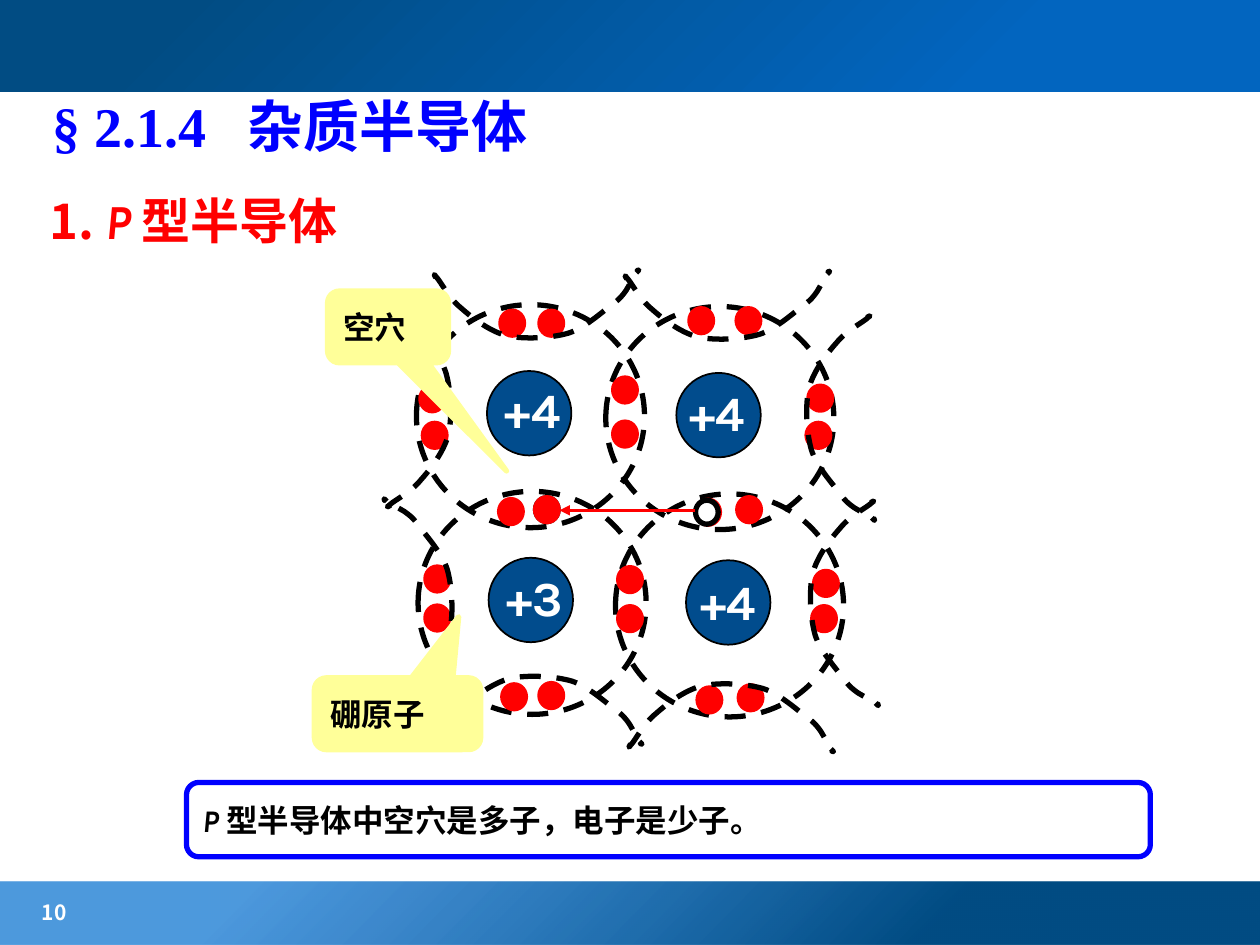
from lxml import etree
from pptx import Presentation
from pptx import util as u
from pptx.dml.color import RGBColor
from pptx.enum import dml, shapes, text
from pptx.oxml import ns

BLUE = RGBColor(0x00, 0x00, 0xFF)
RED = RGBColor(0xFF, 0x00, 0x00)
BLACK = RGBColor(0x00, 0x00, 0x00)
WHITE = RGBColor(0xFF, 0xFF, 0xFF)
YELLOW = RGBColor(0xFF, 0xFF, 0x99)
NUCLEUS = RGBColor(0x01, 0x4C, 0x8D)
NAVY = RGBColor(0x01, 0x4C, 0x83)
AZURE = RGBColor(0x02, 0x65, 0xBF)
SKY = RGBColor(0x02, 0x6D, 0xCE)
SANS, LATIN, SERIF = "Noto Sans CJK SC", "Karla", "Times New Roman"
KIND = shapes.MSO_SHAPE

deck = Presentation()
deck.slide_width, deck.slide_height = u.Inches(10), u.Inches(7.5)
page = deck.slides.add_slide(deck.slide_layouts[6])

# The page is a grid of 100 columns by 75 rows
COL = deck.slide_width // 100
ROW = deck.slide_height // 75


def add_box(kind, col, row, cols, rows, fill=None, line=None, weight=3):
    """Add a preset shape, or a text box when kind is None."""
    area = [round(n) for n in (col * COL, row * ROW, cols * COL, rows * ROW)]
    if kind is None:
        return page.shapes.add_textbox(*area)
    box = page.shapes.add_shape(kind, *area)
    box.shadow.inherit = False
    if fill is None:
        box.fill.background()
    else:
        box.fill.solid()
        box.fill.fore_color.rgb = fill
    if line is None:
        box.line.fill.background()
    else:
        box.line.color.rgb = line
        box.line.width = u.Pt(weight)
    return box


def write(box, size, color, runs, anchor=text.MSO_ANCHOR.MIDDLE):
    """Fill a box with one bold paragraph of (words, font, italic) runs."""
    box.text_frame.word_wrap = True
    box.text_frame.vertical_anchor = anchor
    para = box.text_frame.paragraphs[0]
    para.alignment = text.PP_ALIGN.LEFT
    for words, face, italic in runs:
        span = para.add_run()
        span.text = words
        span.font.name, span.font.size = face, u.Pt(size)
        span.font.bold, span.font.italic = True, italic
        span.font.color.rgb = color
        east = etree.SubElement(span.font._element, ns.qn("a:ea"))
        east.set("typeface", SANS)
    return para


# Footer and header bands, shaded from the bottom right corner
for row, rows, stops in (
    (70, 5, ((0.26, NAVY, None), (0.8, SKY, "70000"))),
    (-0.3, 7.6, ((0.21, AZURE, None), (0.86, NAVY, None))),
):
    band = add_box(KIND.RECTANGLE, 0, row, 100, rows)
    band.fill.gradient()
    for stop, (place, color, alpha) in zip(band.fill.gradient_stops, stops):
        stop.position = place
        stop.color.rgb = color
        if alpha:
            tint = stop._gs.find(ns.qn("a:srgbClr"))
            etree.SubElement(tint, ns.qn("a:alpha")).set("val", alpha)
    linear = band._element.spPr.find(".//" + ns.qn("a:lin"))
    circle = etree.Element(ns.qn("a:path"), path="circle")
    etree.SubElement(circle, ns.qn("a:fillToRect"), l="100000", t="100000")
    linear.getparent().replace(linear, circle)

# Page number, title and heading
write(add_box(None, 2.35, 70.85, 15.4, 3.1), 12, WHITE, [("10", SANS, False)])
title = add_box(None, 3.15, 3.9, 85, 12.1)
para = write(title, 32, BLUE, [("§ 2.1.4\t杂质半导体", SERIF, False)])
tabs = etree.SubElement(para._p.get_or_add_pPr(), ns.qn("a:tabLst"))
etree.SubElement(tabs, ns.qn("a:tab"), pos=str(round(15.53 * COL)), algn="l")
heading = add_box(None, 2.93, 14.63, 32.2, 5.7)
write(heading, 28, RED, [
    ("1. ", SANS, False), ("P ", LATIN, True), ("型半导体", SANS, False)])

# Atoms: nucleus corner, label corner, charge
atoms = (
    (38.65, 29.45, 39.1, 29.65, "+4"), (53.68, 29.6, 53.75, 29.87, "+4"),
    (38.78, 44.27, 39.2, 44.55, "+3"), (54.45, 44.47, 54.6, 44.87, "+4"),
)
for col, row, *label in atoms:
    add_box(KIND.OVAL, col, row, 6.7, 6.7, NUCLEUS, BLACK, 1)
    shell = add_box(KIND.OVAL, col - 5.6, row - 5.27, 18.1, 17.7, None, BLACK)
    shell.line.dash_style = dml.MSO_LINE.DASH

# Bond electrons, one pair a bond
ELECTRON = (1.8, 1.9)
electrons = (
    (39.75, 24.7), (42.85, 24.7), (54.75, 24.5), (58.5, 24.5),
    (33.4, 30.7), (33.6, 33.6), (48.7, 30), (48.7, 33.5),
    (64.2, 30.65), (64.05, 33.6), (39.65, 39.65),
    (55.3, 39.7), (58.55, 39.5),
    (33.8, 45), (33.8, 48.1), (49.1, 45.05), (49.1, 48.15),
    (64.65, 45.35), (64.5, 48.15), (39.9, 54.35), (42.85, 54.25),
    (55.4, 54.6), (58.67, 54.43),
)
for col, row in electrons:
    add_box(KIND.OVAL, col, row, *ELECTRON, RED, RED)

# Outer shells: one Bezier arc, turned to each side of the lattice
ARC = (
    (4.9, 0.3), (4.9, 0.3), (5.4, 0), (5, 0.3),
    (4.6, 0.7), (3.3, 1.3), (2.5, 2.3), (1.7, 3.2), (0.7, 4.5), (0.3, 5.9),
    (0, 7.3), (0.1, 9.4), (0.5, 10.8), (0.9, 12.1), (2.2, 13.5), (2.7, 14.2),
    (3.3, 15), (3.5, 15.1), (3.9, 15.4), (4.4, 15.7), (5, 16), (5.3, 16.2),
    (5.6, 16.3), (5.5, 16.4), (5.5, 16.4), (5.5, 16.4), (5.3, 16.2), (5.3, 16.2),
)
RIGHT, LEFT, TOP, BOTTOM = (1, 0, 0, 1), (-1, 0, 0, -1), (0, 1, -1, 0), (0, 1, 1, 0)
outer_shells = (
    (RIGHT, 63.9, 24.9), (RIGHT, 64.2, 39.6), (TOP, 34.3, 26.95), (TOP, 49.45, 27.05),
    (BOTTOM, 34.55, 53.55), (BOTTOM, 49.75, 54.15), (LEFT, 35.9, 40.4), (LEFT, 36, 56),
)
for (a, b, c, d), col, row in outer_shells:
    knots = [(round((col + a * x + b * y) * COL), round((row + c * x + d * y) * ROW))
             for x, y in ARC]
    builder = page.shapes.build_freeform(*knots[0])
    builder.add_line_segments(knots[1:], close=False)
    arc = builder.convert_to_shape()
    # Each three straight segments become one cubic curve
    segments = list(arc._element.spPr.iter(ns.qn("a:lnTo")))
    for first in range(0, len(segments), 3):
        cubic = etree.Element(ns.qn("a:cubicBezTo"))
        segments[first].addprevious(cubic)
        for segment in segments[first:first + 3]:
            cubic.append(segment[0])
            segment.getparent().remove(segment)
    arc.shadow.inherit = False
    arc.fill.background()
    arc.line.color.rgb = BLACK
    arc.line.width = u.Pt(3)
    arc.line.dash_style = dml.MSO_LINE.DASH

# Nucleus charges
for *_, col, row, charge in atoms:
    label = add_box(None, col, row, 7.7, 5.7)
    write(label, 28, WHITE, [(charge, LATIN, False)], text.MSO_ANCHOR.TOP)

# Hole at the boron atom, before it is filled
add_box(KIND.OVAL, 42.5, 39.5, *ELECTRON, WHITE, BLACK)

# Callouts
for col, row, cols, tip, words in (
    (26, 23.1, 9.6, (0.98, 2.006), "空穴"),
    (24.95, 53.8, 13.2, (0.368, -1.351), "硼原子"),
):
    callout = add_box(KIND.ROUNDED_RECTANGULAR_CALLOUT, col, row, cols, 5.7, YELLOW, YELLOW)
    callout.adjustments[0], callout.adjustments[1] = tip
    write(callout, 18, BLACK, [(words, LATIN, False)])

# Conclusion
conclusion = add_box(KIND.ROUNDED_RECTANGLE, 14.8, 62.1, 76.5, 5.9, None, BLUE)
write(conclusion, 18, BLACK, [
    ("P ", LATIN, True), ("型半导体中空穴是多子，电子是少子。", SANS, False)])

# Electron moves into the hole and leaves a new one behind
add_box(KIND.OVAL, 55.2, 39.7, *ELECTRON, WHITE, BLACK)
add_box(KIND.OVAL, 42.5, 39.5, *ELECTRON, RED, RED)
arrow = page.shapes.add_connector(
    shapes.MSO_CONNECTOR.STRAIGHT,
    *(round(n) for n in (55.2 * COL, 40.5 * ROW, 44.4 * COL, 40.5 * ROW)))
arrow.line.color.rgb = RED
arrow.line.width = u.Pt(1.5)
etree.SubElement(arrow.line._get_or_add_ln(), ns.qn("a:tailEnd"), type="triangle")
etree.SubElement(arrow._element.spPr, ns.qn("a:effectLst"))

deck.save("out.pptx")
